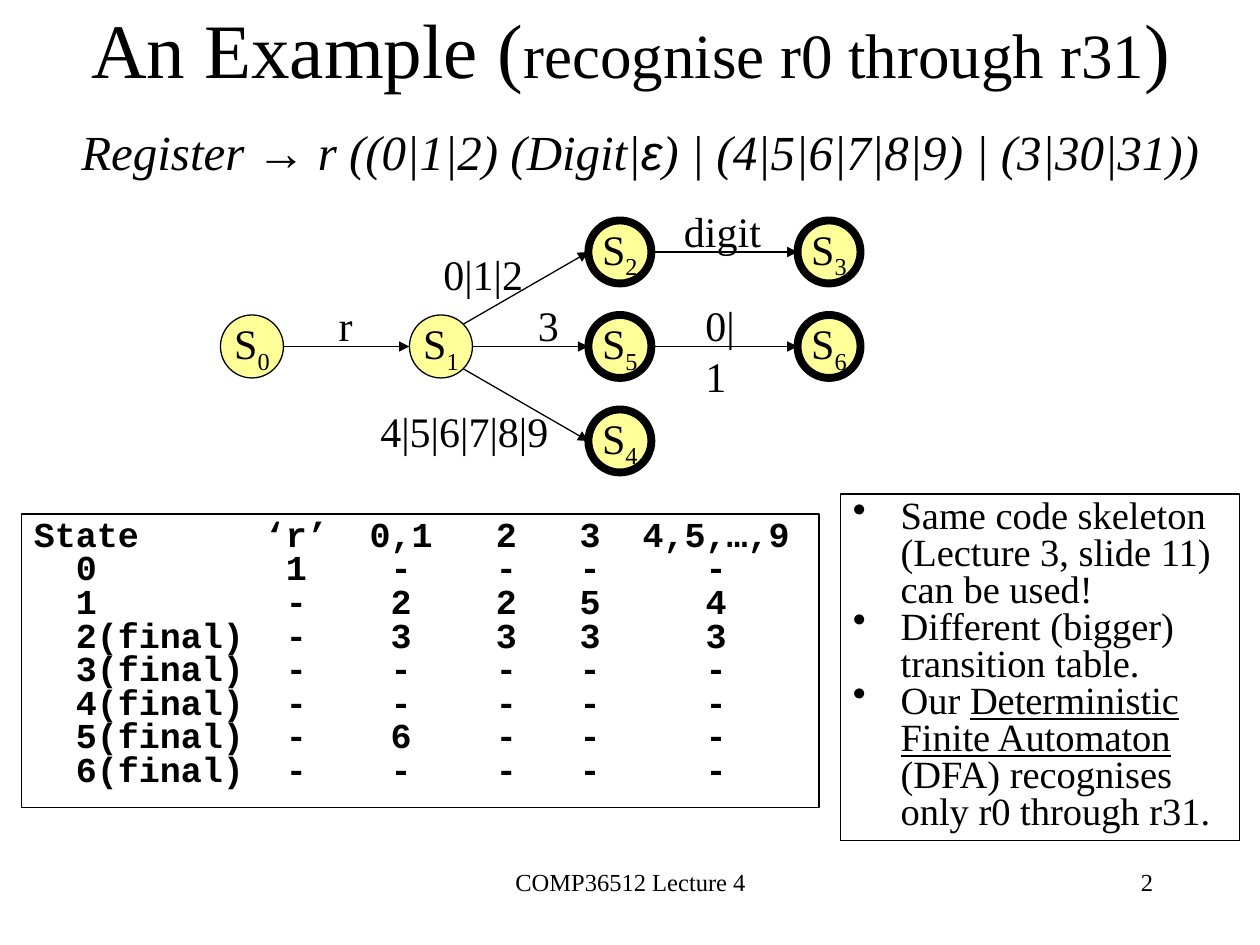
from dataclasses import dataclass
from math import cos, pi

from lxml import etree
from pptx import Presentation
from pptx.dml.color import RGBColor
from pptx.enum.shapes import MSO_CONNECTOR, MSO_SHAPE
from pptx.enum.text import MSO_ANCHOR, MSO_AUTO_SIZE, PP_ALIGN
from pptx.oxml.ns import qn
from pptx.util import Inches, Pt

STRAIGHT = MSO_CONNECTOR.STRAIGHT
ELLIPSE, RECTANGLE = MSO_SHAPE.OVAL, MSO_SHAPE.RECTANGLE
MIDDLE, TOP = MSO_ANCHOR.MIDDLE, MSO_ANCHOR.TOP
LEFT, CENTER, RIGHT = PP_ALIGN.LEFT, PP_ALIGN.CENTER, PP_ALIGN.RIGHT


@dataclass(frozen=True)
class Theme:
    ink: RGBColor = RGBColor(0, 0, 0)
    state_fill: RGBColor = RGBColor(0xFF, 0xFF, 0x99)
    serif: str = "Times New Roman"
    sans: str = "Arial"
    mono: str = "Courier New"
    title: int = 44
    subtitle: int = 36
    expression: int = 28
    diagram: int = 24
    bullet: int = 22
    table: int = 20
    footer: int = 14
    thin: float = 0.75
    thick: float = 4.5
    tight: float = 0.8


THEME = Theme()

# name: (centre x, centre y, final) within the diagram
STATES = {
    "0": (0.25, 1, False),
    "1": (1.75, 1, False),
    "2": (3.17, 0.25, True),
    "3": (4.83, 0.25, True),
    "5": (3.17, 1, True),
    "6": (4.83, 1, True),
    "4": (3.17, 1.75, True),
}
# from, to, label, label left, label top
TRANSITIONS = [
    ("0", "1", "r", 0.84, 0.58),
    ("1", "2", "0|1|2", 1.67, 0.17),
    ("2", "3", "digit", 3.58, -0.17),
    ("1", "5", "3", 2.42, 0.58),
    ("5", "6", "0|1", 3.75, 0.58),
    ("1", "4", "4|5|6|7|8|9", 1.17, 1.42),
]
HEADER = ["State", "‘r’", "0,1", "2", "3", "4,5,…,9"]
ROWS = [
    ["0", "1", "-", "-", "-", "-"],
    ["1", "-", "2", "2", "5", "4"],
    ["2(final)", "-", "3", "3", "3", "3"],
    ["3(final)", "-", "-", "-", "-", "-"],
    ["4(final)", "-", "-", "-", "-", "-"],
    ["5(final)", "-", "6", "-", "-", "-"],
    ["6(final)", "-", "-", "-", "-", "-"],
]
ROW_INDENT = 2  # in characters
COLUMN_CENTRES = [12.5, 17.5, 22.5, 26.5, 32.5]  # in characters
CHARACTER = 1 / 6  # inches, for the monospaced type of the table
BULLETS = [
    [("Same code skeleton (Lecture 3, slide 11) can be used!", False)],
    [("Different (bigger) transition table.", False)],
    [("Our ", False), ("Deterministic Finite Automaton", True),
     (" (DFA) recognises only r0 through r31.", False)],
]


def set_font(font, size, name=THEME.serif):
    font.size = Pt(size)
    font.name = name
    font.color.rgb = THEME.ink


def add_label(slide, box, text, size, align=LEFT, wrap=True):
    frame = slide.shapes.add_textbox(*map(Inches, box)).text_frame
    frame.word_wrap = wrap
    paragraph = frame.paragraphs[0]
    paragraph.text = text
    paragraph.alignment = align
    set_font(paragraph.font, size)


def add_outlined(slide, kind, box, width, anchor):
    shape = slide.shapes.add_shape(kind, *map(Inches, box))
    shape.shadow.inherit = False
    shape.fill.background()
    shape.line.color.rgb = THEME.ink
    shape.line.width = Pt(width)
    shape.text_frame.vertical_anchor = anchor
    return shape


def add_tight_paragraph(frame, index):
    paragraph = frame.add_paragraph() if index else frame.paragraphs[0]
    paragraph.alignment = LEFT
    paragraph.line_spacing = THEME.tight
    return paragraph


def add_title(slide, box):
    title = slide.shapes.title
    title.left, title.top, title.width, title.height = map(Inches, box)
    frame = title.text_frame
    frame.auto_size = MSO_AUTO_SIZE.NONE
    frame.vertical_anchor = MIDDLE
    paragraph = frame.paragraphs[0]
    paragraph.alignment = CENTER

    def add_run(text, size, name=THEME.serif, italic=False):
        run = paragraph.add_run()
        run.text = text
        set_font(run.font, size, name)
        run.font.italic = italic

    add_run("An Example (", THEME.title)
    add_run("recognise r0 through r31", THEME.subtitle)
    add_run(")", THEME.title)
    paragraph.add_line_break()
    add_run(" ", THEME.title)
    for text, name in [("Register ", THEME.serif), ("→", THEME.sans),
                       (" r ((0|1|2) (Digit|", THEME.serif), ("ε", THEME.sans),
                       (") | (4|5|6|7|8|9) | (3|30|31))", THEME.serif)]:
        add_run(text, THEME.expression, name, italic=True)


def add_state(slide, x, y, radius, name, final):
    box = (x - radius, y - radius, 2 * radius, 2 * radius)
    width = THEME.thick if final else THEME.thin
    shape = add_outlined(slide, ELLIPSE, box, width, MIDDLE)
    shape.fill.solid()
    shape.fill.fore_color.rgb = THEME.state_fill
    shape.text_frame.word_wrap = False
    paragraph = shape.text_frame.paragraphs[0]
    paragraph.alignment = CENTER
    set_font(paragraph.font, THEME.diagram)
    paragraph.add_run().text = "S"
    subscript = paragraph.add_run()
    subscript.text = name
    subscript.font._element.set("baseline", "-25000")


def add_arrow(slide, start, end):
    arrow = slide.shapes.add_connector(STRAIGHT, *map(Inches, start + end))
    arrow.line.color.rgb = THEME.ink
    arrow.line.width = Pt(THEME.thin)
    etree.SubElement(arrow.line._get_or_add_ln(), qn("a:tailEnd"), type="triangle")
    etree.SubElement(arrow._element.spPr, qn("a:effectLst"))


def add_automaton(slide, left, top, radius=0.25):
    for name, (x, y, final) in STATES.items():
        add_state(slide, left + x, top + y, radius, name, final)
    diagonal = radius * cos(pi / 4)
    for source, target, text, label_x, label_y in TRANSITIONS:
        x1, y1, _ = STATES[source]
        x2, y2, _ = STATES[target]
        direction = (y2 > y1) - (y2 < y1)
        start_x = x1 + (diagonal if direction else radius)
        start = (left + start_x, top + y1 + direction * diagonal)
        add_arrow(slide, start, (left + x2 - radius, top + y2))
        label_box = (left + label_x, top + label_y, 0.2 + 0.13 * len(text), 0.5)
        add_label(slide, label_box, text, THEME.diagram, wrap=False)


def add_transition_table(slide, box):
    """Set the monospaced rows on tab stops, one per column."""
    frame = add_outlined(slide, RECTANGLE, box, THEME.thin, TOP).text_frame
    frame.word_wrap = True
    stops = [(ROW_INDENT, "l")] + [(centre, "ctr") for centre in COLUMN_CENTRES]
    lines = ["\t".join(HEADER)] + ["\t" + "\t".join(row) for row in ROWS]
    for index, line in enumerate(lines):
        paragraph = add_tight_paragraph(frame, index)
        tabs = etree.SubElement(paragraph._p.get_or_add_pPr(), qn("a:tabLst"))
        for position, align in stops:
            etree.SubElement(tabs, qn("a:tab"), algn=align,
                             pos=str(Inches(position * CHARACTER)))
        paragraph.text = line
        set_font(paragraph.font, THEME.table, THEME.mono)
        paragraph.font.bold = True


def add_remarks(slide, box):
    frame = add_outlined(slide, RECTANGLE, box, THEME.thin, TOP).text_frame
    frame.word_wrap = True
    for index, parts in enumerate(BULLETS):
        paragraph = add_tight_paragraph(frame, index)
        properties = paragraph._p.get_or_add_pPr()
        properties.set("marL", str(Inches(0.38)))
        properties.set("indent", str(Inches(-0.38)))
        etree.SubElement(properties, qn("a:buChar"), char="•")
        set_font(paragraph.font, THEME.bullet)
        for text, underlined in parts:
            run = paragraph.add_run()
            run.text = text
            if underlined:
                run.font.underline = True


def main():
    presentation = Presentation()
    presentation.slide_width, presentation.slide_height = Inches(10), Inches(7.5)
    slide = presentation.slides.add_slide(presentation.slide_layouts.get_by_name("Title Only"))
    add_label(slide, (3.42, 6.83, 3.17, 0.5), "COMP36512 Lecture 4", THEME.footer, CENTER)
    add_label(slide, (7.17, 6.83, 2.08, 0.5), "2", THEME.footer, RIGHT)
    add_title(slide, (0.17, 0.08, 9.67, 1.33))
    add_transition_table(slide, (0.17, 4.08, 6.33, 2.33))
    add_automaton(slide, 1.75, 1.75)
    add_remarks(slide, (6.67, 3.92, 3.17, 2.75))
    presentation.save("out.pptx")


if __name__ == "__main__":
    main()
